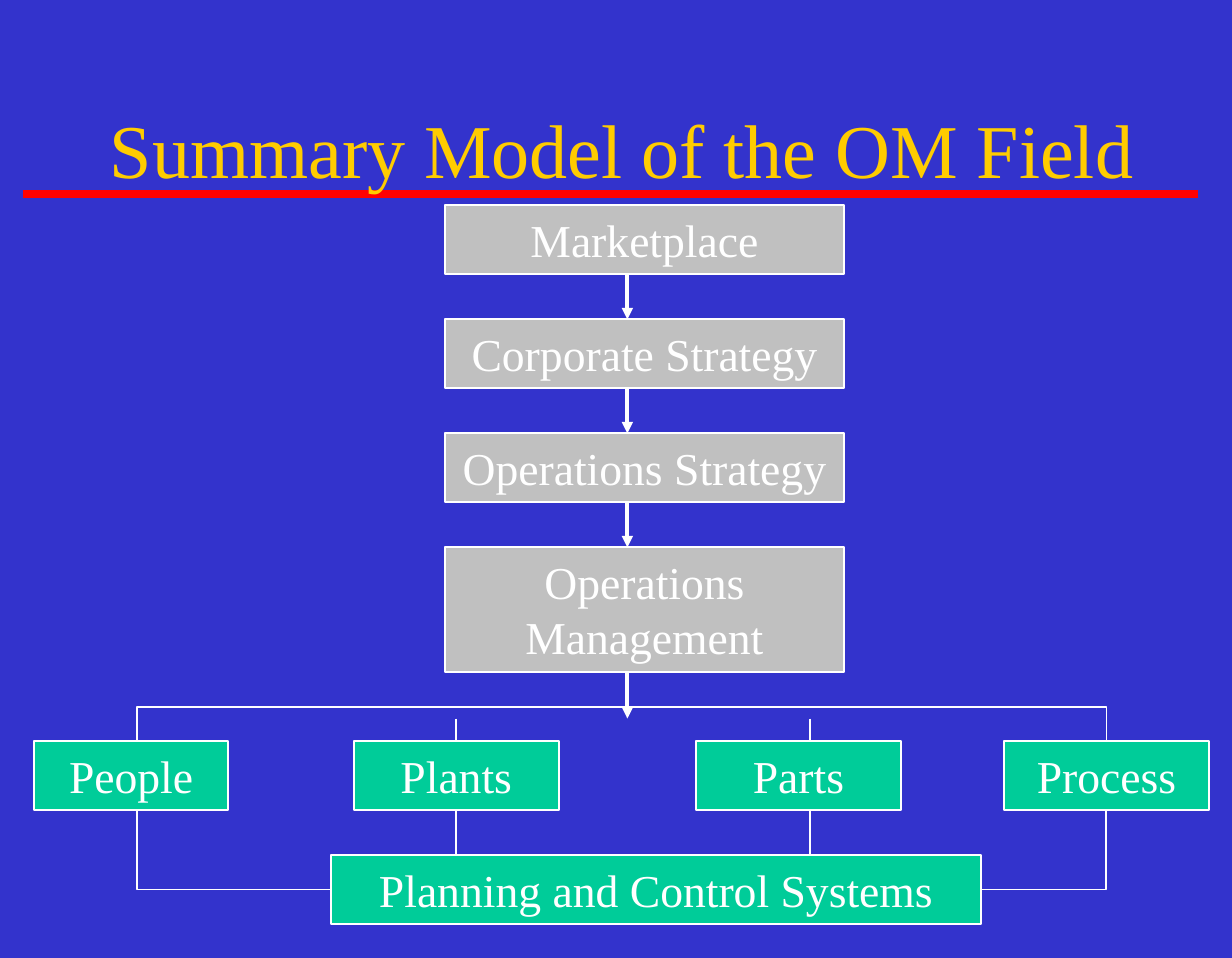
from lxml import etree
from pptx import Presentation
from pptx.dml.color import RGBColor
from pptx.enum.shapes import MSO_CONNECTOR as Connector, MSO_SHAPE as Shape
from pptx.enum.text import MSO_ANCHOR as Anchor, MSO_AUTO_SIZE as AutoSize, PP_ALIGN as Align
from pptx.oxml.ns import qn
from pptx.util import Inches, Pt

FONT = "Times New Roman"
BLUE, RED, GOLD = "3333CC", "FF0101", "FFCC00"
WHITE, GREY, GREEN = "FFFFFF", "C0C0C0", "00CC99"
CELL = Inches(1) // 12  # the slide is a grid of 108 columns by 84 rows

deck = Presentation()
deck.slide_width, deck.slide_height = 108 * CELL, 84 * CELL
page = deck.slides.add_slide(deck.slide_layouts[5])


def paint(part, color):
    """Give a fill, or the fill of a line, one solid colour."""
    part.solid()
    part.fore_color.rgb = RGBColor.from_string(color)


def add_line(start, end, width=1, color=WHITE, arrow=False):
    line = page.shapes.add_connector(
        Connector.STRAIGHT, *[round(n * CELL) for n in (*start, *end)])
    line.line.width = Pt(width)
    paint(line.line.fill, color)
    properties = line.element.spPr
    if arrow:
        etree.SubElement(properties.find(qn("a:ln")), qn("a:tailEnd"), type="triangle")
    etree.SubElement(properties, qn("a:effectLst"))
    return line


paint(page.background.fill, BLUE)

title = page.shapes.title
title.left, title.top, title.width, title.height = [n * CELL for n in (5, 6, 99, 14)]
title.text_frame.text = "Summary Model of the OM Field"
title.text_frame.vertical_anchor = Anchor.MIDDLE
heading = title.text_frame.paragraphs[0]
heading.alignment = Align.CENTER
heading.font.name, heading.font.size = FONT, Pt(40)
heading.font.color.rgb = RGBColor.from_string(GOLD)

# The rule lies behind the title
rule = add_line((2, 17), (105, 17), width=4, color=RED)
title.element.addprevious(rule.element)

# Strategy levels run down the middle, resources run across
levels = ["Marketplace", "Corporate Strategy", "Operations Strategy", "Operations Management"]
boxes = [(name, 39, 18 + 10 * row, 35, 6, GREY) for row, name in enumerate(levels[:3])]
boxes += [
    (levels[3], 39, 48, 35, 10.9, GREY),
    ("People", 3, 65, 17, 6, GREEN),
    ("Plants", 31, 65, 18, 6, GREEN),
    ("Parts", 61, 65, 18, 6, GREEN),
    ("Process", 88, 65, 18, 6, GREEN),
    ("Planning and Control Systems", 29, 75, 57, 6, GREEN),
]
placed = {}
for name, left, top, width, height, color in boxes:
    box = page.shapes.add_shape(
        Shape.RECTANGLE, *[round(n * CELL) for n in (left, top, width, height)])
    box.shadow.inherit = False
    paint(box.fill, color)
    paint(box.line.fill, WHITE)
    box.line.width = Pt(1)
    frame = box.text_frame
    frame.text = name
    frame.word_wrap = True
    frame.auto_size = AutoSize.SHAPE_TO_FIT_TEXT
    frame.vertical_anchor = Anchor.TOP
    para = frame.paragraphs[0]
    para.alignment = Align.CENTER
    para.font.name, para.font.size = FONT, Pt(24)
    para.font.color.rgb = RGBColor.from_string(WHITE)
    placed[name] = box

for top in (24, 34, 44, 59):
    add_line((55, top), (55, top + 4), width=2, arrow=True)

# Brackets tie the outer resources to each other and to the systems below
brackets = [
    [(11.5, 65), (11.5, 61.5), (97, 61.5), (97, 65)],
    [(11.5, 71), (11.5, 78), (29, 78)],
    [(86, 78), (97, 78), (97, 71)],
]
for start, *corners in brackets:
    builder = page.shapes.build_freeform(*start, scale=CELL)
    builder.add_line_segments(corners, close=False)
    bracket = builder.convert_to_shape()
    bracket.shadow.inherit = False
    bracket.fill.background()
    paint(bracket.line.fill, WHITE)
    bracket.line.width = Pt(1)

for name, column in (("Plants", 40), ("Parts", 71)):
    above = add_line((column, 63), (column, 65))
    below = add_line((column, 71), (column, 75))
    if name == "Plants":
        above.end_connect(placed[name], 0)
        below.begin_connect(placed[name], 2)

deck.save("out.pptx")
